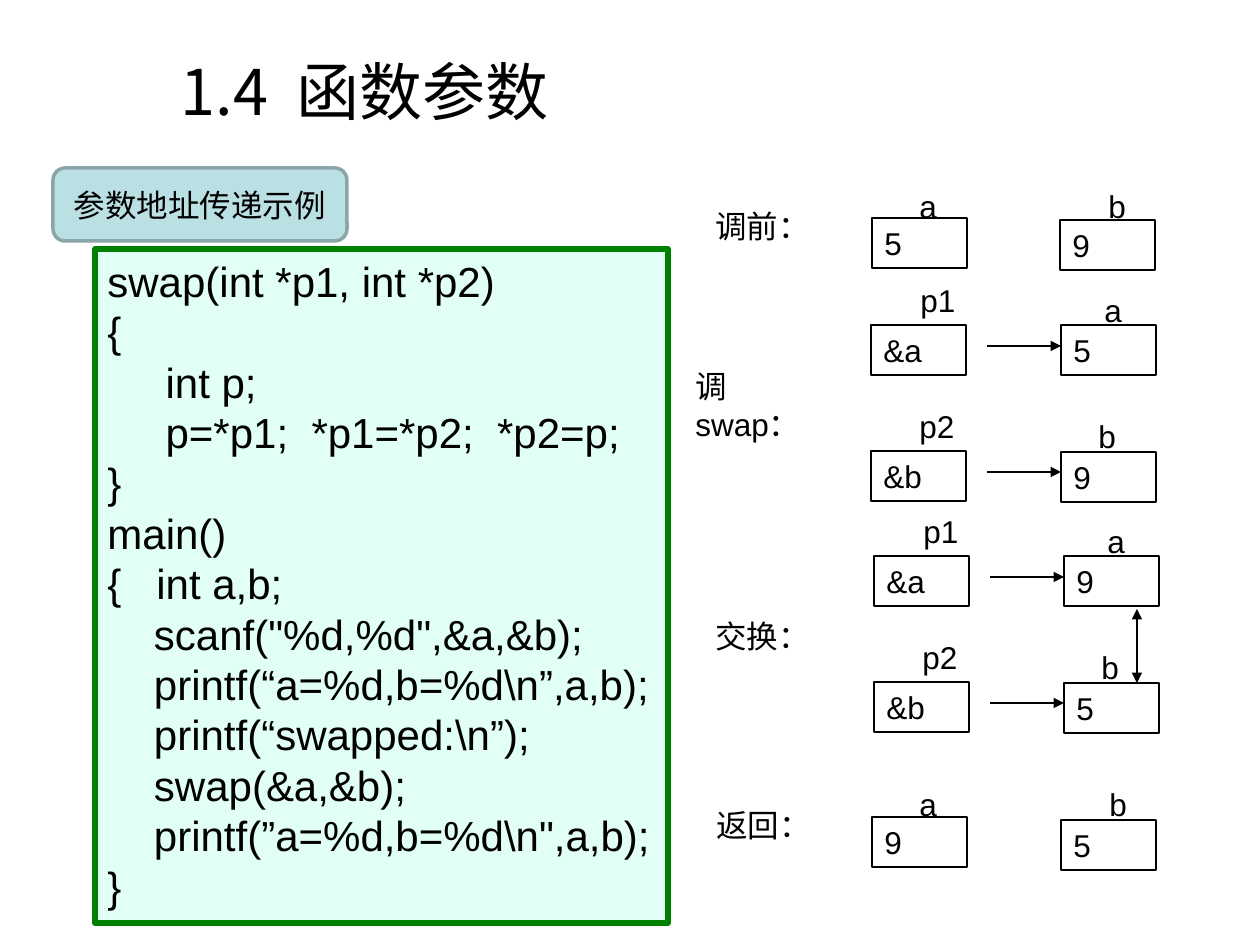
import pptx
import pptx.dml.color
import pptx.enum.shapes
import pptx.enum.text
import pptx.oxml
import pptx.oxml.ns
import pptx.util

RGBColor = pptx.dml.color.RGBColor
MSO_SHAPE = pptx.enum.shapes.MSO_SHAPE
ANCHOR = pptx.enum.text.MSO_ANCHOR
ALIGN = pptx.enum.text.PP_ALIGN

BLACK = RGBColor(0x00, 0x00, 0x00)
WHITE = RGBColor(0xFF, 0xFF, 0xFF)
GREEN = RGBColor(0x00, 0x80, 0x00)
MINT = RGBColor(0xE1, 0xFF, 0xF7)
TEAL = RGBColor(0xBB, 0xE0, 0xE3)
TEAL_EDGE = RGBColor(0x8A, 0xA6, 0xA8)

PX_PER_INCH = 126
BOX_WIDTH, BOX_HEIGHT, LABEL_HEIGHT = 95, 50, 54
LABEL_WIDTHS = {"a": 40, "b": 43, "p1": 60, "p2": 60}

SMALL = {"name": "Arial", "size": pptx.util.Pt(18)}
CODE = {"name": "Arial", "size": pptx.util.Pt(24)}
TITLE = {"name": "Noto Sans CJK SC", "size": pptx.util.Pt(36)}

CODE_LINES = r"""swap(int *p1, int *p2)
{
     int p;
     p=*p1;  *p1=*p2;  *p2=p;
}
main()
{   int a,b;
    scanf("%d,%d",&a,&b);
    printf(“a=%d,b=%d\n”,a,b);
    printf(“swapped:\n”);
    swap(&a,&b);
    printf(”a=%d,b=%d\n",a,b);
}"""


def emu(px):
    return round(px * pptx.util.Inches(1) / PX_PER_INCH)


def write(shape, text, font, align=ALIGN.LEFT, anchor=ANCHOR.MIDDLE, wrap=True):
    frame = shape.text_frame
    frame.text = text
    frame.word_wrap = wrap
    frame.vertical_anchor = anchor
    for paragraph in frame.paragraphs:
        paragraph.alignment = align
        for name, value in font.items():
            setattr(paragraph.font, name, value)
        paragraph.font.color.rgb = BLACK


def add_panel(slide, kind, bounds, fill, line, weight):
    shape = slide.shapes.add_shape(kind, *map(emu, bounds))
    shape.shadow.inherit = False
    shape.fill.solid()
    shape.fill.fore_color.rgb = fill
    shape.line.color.rgb = line
    shape.line.width = pptx.util.Pt(weight)
    return shape


def add_label(slide, text, left, top, width, wrap=False):
    label = slide.shapes.add_textbox(*map(emu, (left, top, width, LABEL_HEIGHT)))
    write(label, text, SMALL, wrap=wrap)
    return label


def add_variable(slide, name, value, box, label):
    """Draw a memory cell with its value and its name; box and label are corners."""
    cell = add_panel(slide, MSO_SHAPE.RECTANGLE, (*box, BOX_WIDTH, BOX_HEIGHT),
                     WHITE, BLACK, 0.75)
    write(cell, value, SMALL)
    add_label(slide, name, *label, LABEL_WIDTHS[name])


def add_arrow(slide, start, end, ends=("tailEnd",)):
    arrow = slide.shapes.add_connector(
        pptx.enum.shapes.MSO_CONNECTOR.STRAIGHT, *map(emu, (*start, *end)))
    arrow.line.color.rgb = BLACK
    arrow.line.width = pptx.util.Pt(0.75)
    line = arrow.line._get_or_add_ln()
    for tag in ends:
        head = pptx.oxml.parse_xml(
            f'<a:{tag} {pptx.oxml.ns.nsdecls("a")} type="triangle"/>')
        line.append(head)
    arrow._element.spPr.append(pptx.oxml.parse_xml(
        f'<a:effectLst {pptx.oxml.ns.nsdecls("a")}/>'))


def add_pointer_stage(slide, dx, dy, a_value, b_value):
    """Draw p1 and p2 pointing at a and b, shifted by dx and dy."""
    variables = [
        ("a", a_value, (1061, 325), (1092, 283)),
        ("b", b_value, (1061, 452), (1086, 409)),
        ("p1", "&a", (871, 325), (908, 273)),
        ("p2", "&b", (871, 451), (907, 399)),
    ]
    for name, value, box, label in variables:
        add_variable(slide, name, value, (box[0] + dx, box[1] + dy),
                     (label[0] + dx, label[1] + dy))
    for y in (346, 472):
        add_arrow(slide, (987 + dx, y + dy), (1061 + dx, y + dy))


def add_title(slide):
    title = slide.shapes.title
    bounds = {"left": 168, "top": 32, "width": 1029, "height": 116}
    for name, px in bounds.items():
        setattr(title, name, emu(px))
    write(title, "1.4  函数参数", TITLE)


def add_code(slide):
    panel = add_panel(slide, MSO_SHAPE.RECTANGLE, (95, 249, 573, 674), MINT, GREEN, 3)
    write(panel, CODE_LINES, CODE, anchor=ANCHOR.TOP)
    for paragraph in panel.text_frame.paragraphs:
        paragraph.line_spacing = pptx.util.Pt(28.8)


def main():
    presentation = pptx.Presentation()
    presentation.slide_width = emu(1260)
    presentation.slide_height = emu(945)
    slide = presentation.slides.add_slide(presentation.slide_layouts[5])

    add_title(slide)
    add_code(slide)

    for text, left, top in (("调前：", 703, 199), ("交换：", 703, 609), ("返回：", 704, 798)):
        add_label(slide, text, left, top, 130)
    call_label = add_label(slide, "调swap：", 683, 378, 168, wrap=True)
    call_label.text_frame.margin_right = emu(42)

    add_variable(slide, "a", "5", (872, 218), (907, 179))
    add_variable(slide, "b", "9", (1060, 220), (1096, 179))
    add_pointer_stage(slide, 0, 0, "5", "9")
    add_pointer_stage(slide, 3, 231, "9", "5")
    add_arrow(slide, (1137, 609), (1137, 683), ("headEnd", "tailEnd"))
    add_variable(slide, "a", "9", (872, 817), (907, 777))
    add_variable(slide, "b", "5", (1061, 820), (1097, 777))

    heading = add_panel(slide, MSO_SHAPE.ROUNDED_RECTANGLE, (53, 168, 294, 73),
                        TEAL, TEAL_EDGE, 2)
    write(heading, "参数地址传递示例", SMALL, align=ALIGN.CENTER)

    presentation.save("out.pptx")


if __name__ == "__main__":
    main()
